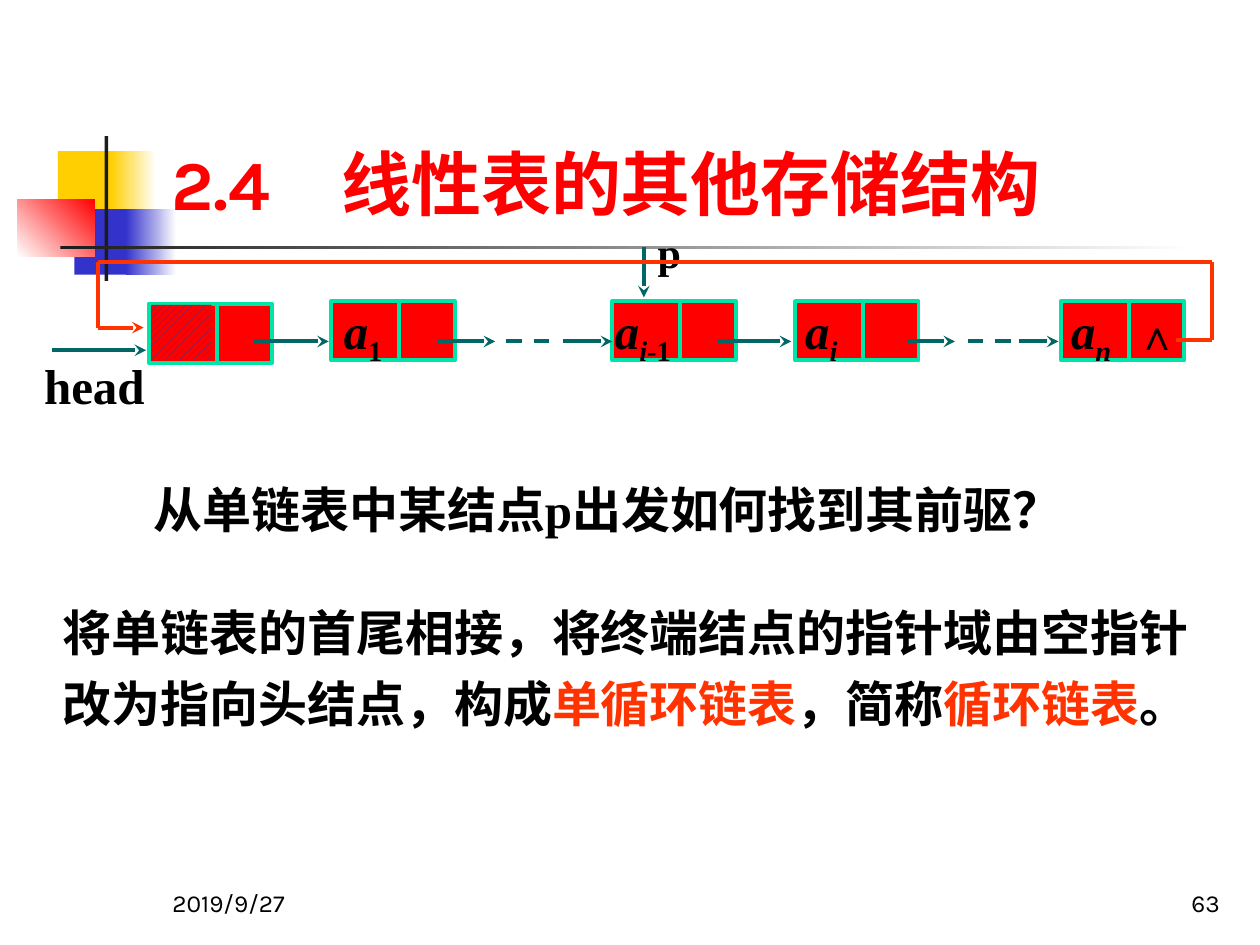
from lxml import etree
from pptx import Presentation
from pptx import util as u
from pptx.dml.color import RGBColor
from pptx.enum import dml, shapes, text
from pptx.oxml import ns

# Grid of 100 columns by 75 rows; every length below is in grid cells
WIDE, HIGH = u.Inches(10), u.Inches(7.5)
COL, ROW = WIDE / 100, HIGH / 75

HUES = {
    "gold": "FFCF01", "blue": "3333CC", "red": "FF0000", "white": "FFFFFF",
    "dark": "1C1C1C", "ink": "000000", "teal": "006666", "mint": "00E4A8",
    "loop": "FF3300", "hatch": "333399",
}
SERIF, SANS, HAN = "Times New Roman", "Karla", "Noto Sans CJK SC"


def hue(name):
    return RGBColor.from_string(HUES[name])


def x(cols):
    return round(cols * COL)


def y(rows):
    return round(rows * ROW)


def rect(page, left, top, wide, high, fill, edge=None):
    box = page.shapes.add_shape(shapes.MSO_SHAPE.RECTANGLE,
                                x(left), y(top), x(wide), y(high))
    box.shadow.inherit = False
    box.fill.solid()
    box.fill.fore_color.rgb = hue(fill)
    if edge:
        box.line.color.rgb = hue(edge)
        box.line.width = u.Pt(2.25)
    else:
        box.line.fill.background()
    return box


def fade(page, left, top, wide, high, first, last, angle=0):
    box = rect(page, left, top, wide, high, first)
    box.fill.gradient()
    box.fill.gradient_angle = angle
    for stop, name, place in zip(box.fill.gradient_stops, (first, last), (0, 1)):
        stop.color.rgb = hue(name)
        stop.position = place


def line(page, x1, y1, x2, y2, color="teal", arrow=False, dash=False):
    link = page.shapes.add_connector(shapes.MSO_CONNECTOR.STRAIGHT,
                                     x(x1), y(y1), x(x2), y(y2))
    link.line.color.rgb = hue(color)
    link.line.width = u.Pt(2.25)
    if dash:
        link.line.dash_style = dml.MSO_LINE.DASH
    if arrow:
        stroke = link.line._get_or_add_ln()
        etree.SubElement(stroke, ns.qn("a:tailEnd"), type="stealth")
    etree.SubElement(link._element.spPr, ns.qn("a:effectLst"))


def write(box, runs, size, face=SERIF, color="ink", bold=True, italic=False,
          inset=(1, 0.5, 1, 0.5), anchor="TOP", align="LEFT", space=None, tab=None):
    """Fill a box with one paragraph; a run is (text, own settings)."""
    frame = box.text_frame
    frame.word_wrap = True
    frame.vertical_anchor = text.MSO_ANCHOR[anchor]
    frame.margin_left, frame.margin_right = x(inset[0]), x(inset[2])
    frame.margin_top, frame.margin_bottom = y(inset[1]), y(inset[3])
    para = frame.paragraphs[0]
    para.alignment = text.PP_ALIGN[align]
    if space:
        para.line_spacing = space
    if tab:
        stops = etree.SubElement(para._p.get_or_add_pPr(), ns.qn("a:tabLst"))
        etree.SubElement(stops, ns.qn("a:tab"), pos=str(x(tab)), algn="l")
    font = para.font
    font.size, font.name, font.bold, font.italic = u.Pt(size), face, bold, italic
    font.color.rgb = hue(color)
    for words, own in runs:
        run = para.add_run()
        run.text = words
        if "color" in own:
            run.font.color.rgb = hue(own["color"])
        if "face" in own:
            run.font.name = own["face"]
        if "italic" in own:
            run.font.italic = own["italic"]
        props = run._r.get_or_add_rPr()
        if own.get("sub"):
            props.set("baseline", "-25000")
        etree.SubElement(props, ns.qn("a:ea"), typeface=HAN)


def label(page, left, top, wide, high, runs, size, **style):
    box = page.shapes.add_textbox(x(left), y(top), x(wide), y(high))
    if isinstance(runs, str):
        runs = [(runs, {})]
    write(box, runs, size, **style)


def node(page, left, top, subs=(), pad=0.8):
    """List node: a data cell and a pointer cell."""
    box = rect(page, left, top, 9.8, 4.7, "red", "mint")
    if subs:
        write(box, [("a", {}), *subs], 28, italic=True,
              inset=(pad, 0, 0, 0.8), space=0.9)
    line(page, left + 5.4, top, left + 5.4, top + 4.7, "mint")


def decor(page):
    # Coloured blocks and the two rules behind the title
    rect(page, 4.6, 12, 4.8, 5.2, "gold")
    fade(page, 8.8, 12, 3.6, 5.2, "gold", "white")
    rect(page, 5.9, 16.6, 4.6, 5.2, "blue")
    fade(page, 10, 16.6, 4, 5.2, "blue", "white")
    fade(page, 1.4, 15.8, 6.1, 4.6, "white", "red", 45)
    rect(page, 8.3, 10.8, 0.3, 11.5, "dark")
    fade(page, 4.8, 19.5, 90, 0.3, "dark", "white")


def chain(page):
    # Nodes, with the header node hatched
    low = {"sub": True}
    node(page, 11.8, 24.1)
    hatch = rect(page, 12, 24.2, 4.8, 4.3, "red")
    hatch.fill.patterned()
    hatch.fill.pattern = dml.MSO_PATTERN.WIDE_UPWARD_DIAGONAL
    hatch.fill.fore_color.rgb = hue("hatch")
    hatch.fill.back_color.rgb = hue("red")
    flat = {"sub": True, "italic": False}
    node(page, 26.3, 23.9, [("1", flat)], 1)
    node(page, 48.6, 23.9, [("i", low), ("-1", flat)], 0.2)
    node(page, 63.1, 23.9, [("i", low)])
    node(page, 84.2, 23.9, [("n", low)])
    label(page, 89.2, 24, 4.9, 5, "∧", 24, align="CENTER")

    # Pointers between nodes, and the skipped parts
    for start, end in ((20.2, 26.1), (34.8, 39.3), (44.7, 48.6),
                       (56.9, 62.8), (72.1, 75.8), (80.9, 84)):
        line(page, start, 27.1, end, 27.1, arrow=True)
    for start, end in ((40.2, 43.6), (76.8, 80.3)):
        line(page, start, 27.1, end, 27.1, dash=True)

    # Named pointers
    line(page, 4.1, 27.8, 11.6, 27.8, arrow=True)
    label(page, 3.5, 28.2, 8.3, 5.1, "head", 28, inset=(0, 0, 0, 0.4))
    line(page, 51.1, 19.6, 51.1, 23.6, arrow=True)
    label(page, 52.2, 18, 2.7, 4, "p", 24, inset=(0, 0, 0, 0))

    # Link from the last node back to the header node
    turns = [(93.3, 27), (96.2, 27), (96.2, 20.8), (7.8, 20.8), (7.8, 26), (11.4, 26)]
    for spot, (start, end) in enumerate(zip(turns, turns[1:]), 2):
        line(page, *start, *end, "loop", arrow=spot == len(turns))


def main():
    deck = Presentation()
    deck.slide_width, deck.slide_height = WIDE, HIGH
    page = deck.slides.add_slide(deck.slide_layouts[6])

    decor(page)
    label(page, 12.6, 2.3, 85.2, 16, "2.4\t线性表的其他存储结构", 40,
          face=SANS, color="red", anchor="BOTTOM", tab=13.5)
    chain(page)

    # Question and answer
    label(page, 11.2, 37.6, 82.5, 5.7, "从单链表中某结点p出发如何找到其前驱？", 28)
    mark = {"color": "loop"}
    label(page, 4, 46.4, 93.3, 12.2, [
        ("将单链表的首尾相接，将终端结点的指针域由空指针改为指向头结点，构成", {}),
        ("单循环链表", mark), ("，简称", {}), ("循环链表", mark),
        ("。", {"face": "Arial"})], 28, face=HAN, space=1.2)

    # Footer
    foot = {"face": SANS, "bold": False, "anchor": "BOTTOM"}
    label(page, 12.7, 68.3, 20.8, 5, "2019/9/27", 14, **foot)
    label(page, 77, 68.3, 20.8, 5, "63", 14, align="RIGHT", **foot)

    deck.save("out.pptx")


if __name__ == "__main__":
    main()
